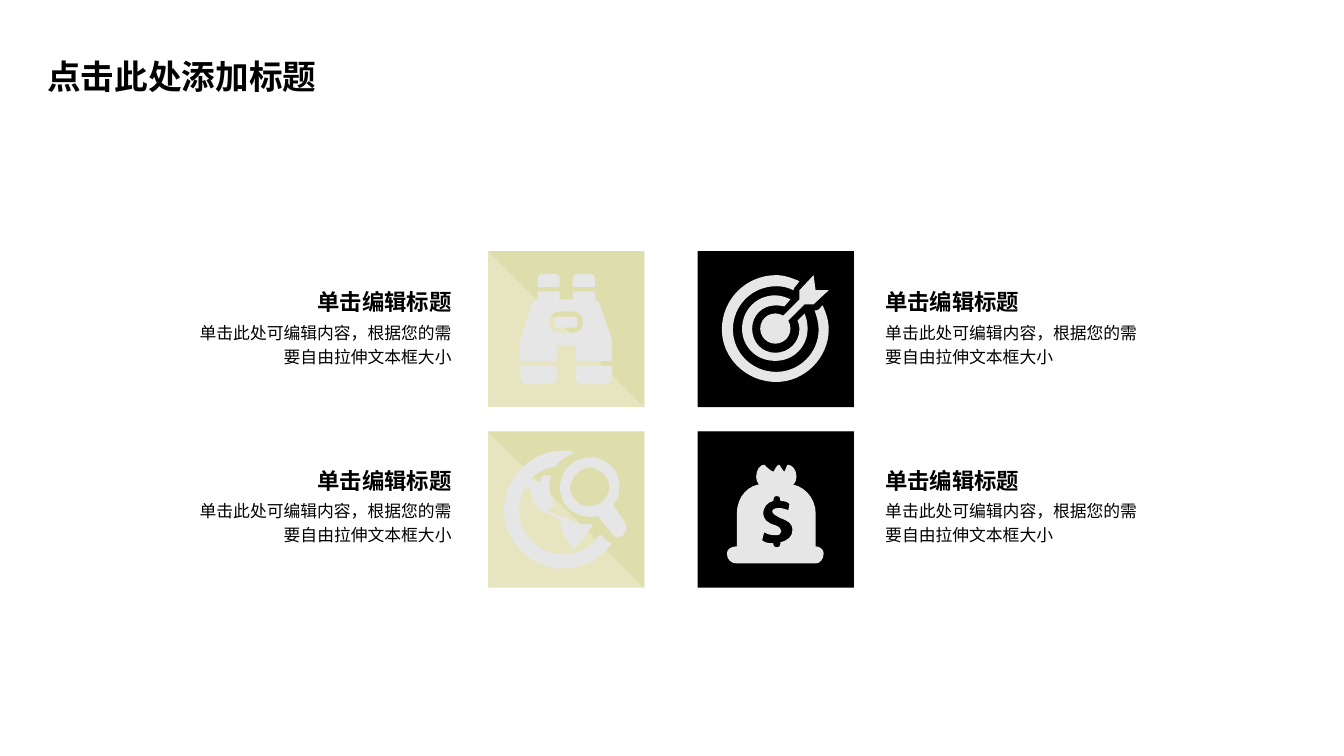
from lxml import etree
from pptx import Presentation
from pptx import util as u
from pptx.dml.color import RGBColor
from pptx.enum import shapes, text
from pptx.oxml.ns import qn

PX = 9144  # EMU in one px, 100 px to the inch
BLACK, ICON, CREAM, OLIVE = "000000", "E7E6E6", "E6E5C0", "C8C674"
LEFT_TILE, RIGHT_TILE, TILE = 484, 692, 155
ROWS = (249, 428)
ALIGN, SHAPE = text.PP_ALIGN, shapes.MSO_SHAPE

TARGET = (
    "M 809 288 L 807 273 793 288 793 297 766 324 771 329 798 302 807 302 822 288",
    "M 808 308 C 810 314 812 320 812 327 812 350 793 369 770 369 746 369 727 350 727 327"
    " 727 303 746 284 770 284 776 284 781 285 787 288 787 286 789 284 790 283 L 793 279"
    " C 786 276 778 273 770 273 740 273 716 297 716 327 716 355 740 379 770 379"
    " 798 379 822 355 822 327 822 317 819 310 816 303 L 812 307 C 811 308 810 308 808 308",
    "M 793 326 C 793 340 782 350 769 350 756 350 746 340 746 326 746 313 756 303 769 303"
    " 772 303 775 303 778 304 L 784 297 C 780 295 774 293 769 293 750 293 736 308 736 326"
    " 736 344 750 358 769 358 787 358 801 344 801 326 801 321 800 316 798 311 L 791 318"
    " C 792 321 793 323 793 326",
)
BINOCULAR_BODY = (
    "M 595 302 C 595 300 592 298 590 297 L 590 289 568 289 568 297 555 297 555 289 533 289"
    " 533 297 C 531 298 527 300 527 302 L 516 337 516 358 552 358 552 343 571 343 571 358"
    " 607 358 607 337"
    " M 578 321 C 578 326 574 330 569 330 L 554 330 C 549 330 545 326 545 321 L 545 317"
    " C 545 313 549 309 554 309 L 569 309 C 574 309 578 313 578 317"
)
MONEY_BAG = (
    "M 790 473 C 790 479 786 483 781 483 L 758 483 C 754 483 750 479 750 473"
    " 750 466 754 461 758 461 758 461 765 468 767 468 769 466 770 461 773 461"
    " 774 462 777 468 778 468 779 466 781 461 781 461 786 461 790 466 790 473",
    "M 817 549 C 817 555 813 559 809 559 L 731 559 C 725 559 721 555 721 549"
    " 721 545 725 542 731 542 L 731 509 C 731 493 742 480 758 480 L 781 480"
    " C 796 480 809 493 809 509 L 809 542 C 813 542 817 545 817 549"
    " M 786 526 C 786 519 782 517 774 514 769 511 766 510 766 507 766 506 767 504 773 504"
    " 777 504 781 506 782 506 L 783 500 C 782 498 778 497 774 497 L 774 496"
    " C 774 493 773 492 770 492 769 492 767 493 767 496 L 767 497"
    " C 761 498 757 504 757 509 757 515 761 519 769 521 773 523 775 524 775 527"
    " 775 530 773 531 769 531 765 531 761 530 758 528 L 756 536"
    " C 758 538 762 539 767 539 L 767 540 C 767 542 769 543 770 543 773 543 774 542 774 540"
    " L 774 538 C 782 536 786 532 786 526",
)
GLOBE = (
    "M 618 531 C 615 533 612 533 611 533 608 531 607 530 606 528 L 593 512"
    " C 589 513 585 513 579 512 563 509 553 494 556 478 559 461 574 452 590 454"
    " 607 457 617 472 614 489 614 493 611 498 608 501 L 619 517 C 623 522 622 527 618 531"
    " M 581 502 C 592 504 601 497 604 487 606 476 599 467 588 464 578 463 569 469 566 480"
    " 564 490 571 500 581 502",
    "M 598 532 L 595 530 C 588 542 574 550 559 550 534 550 515 530 515 506"
    " 515 497 518 489 522 482 L 523 482 C 529 484 525 502 536 504 536 505 534 504 534 505"
    " 539 508 551 513 556 516 554 521 566 546 570 545 570 543 584 527 588 521"
    " 587 521 587 520 585 520 583 520 580 520 576 520 570 519 565 516 561 513"
    " 552 512 545 509 543 504 544 504 548 502 551 502 547 495 544 487 545 478"
    " 545 475 547 472 547 471 L 545 472 544 471 543 472 541 471"
    " C 534 475 537 475 536 478 533 478 529 476 526 476 532 469 541 464 551 463"
    " 556 456 562 452 570 449 566 447 562 447 559 447 526 447 500 474 500 506"
    " 500 538 526 564 559 564 578 564 596 554 607 539 603 538 599 535 598 532",
)


def rgb(color):
    return RGBColor.from_string(color)


def box(left, top, width, height):
    return [value * PX for value in (left, top, width, height)]


def paint(shape, color, alpha=None):
    """Give a flat fill, with an optional opacity in percent."""
    shape.shadow.inherit = False
    shape.line.fill.background()
    shape.fill.solid()
    shape.fill.fore_color.rgb = rgb(color)
    if alpha is not None:
        fill_color = shape.fill._xPr.find(qn("a:solidFill"))[0]
        etree.SubElement(fill_color, qn("a:alpha"), val=str(alpha * 1000))


def add_preset(slide, kind, left, top, width, height, color, rotation=0):
    shape = slide.shapes.add_shape(kind, *box(left, top, width, height))
    shape.rotation = rotation
    paint(shape, color)
    return shape


def contours(outline):
    """Split M, L and C commands in px into lists of (command, point)."""
    result, command = [], None
    tokens = iter(outline.split())
    for token in tokens:
        if token.isalpha():
            command = token
            if command == "M":
                result.append([])
        else:
            result[-1].append((command, (int(token), int(next(tokens)))))
    return result


def bend(shape, commands):
    """Join each three line segments marked C into one Bezier curve."""
    segments = list(shape._element.iter(qn("a:lnTo")))
    curved = [segment for segment, command in zip(segments, commands) if command == "C"]
    for first, second, end in zip(*[iter(curved)] * 3):
        curve = etree.Element(qn("a:cubicBezTo"))
        first.addprevious(curve)
        for segment in (first, second, end):
            curve.append(segment[0])
            segment.getparent().remove(segment)


def add_outline(slide, outline, color, alpha=None):
    builder, commands = None, []
    for contour in contours(outline):
        start, *points = [point for _, point in contour]
        if builder is None:
            builder = slide.shapes.build_freeform(*start, scale=PX)
        else:
            builder.move_to(*start)
        builder.add_line_segments(points, close=True)
        # Closing adds a line back to the start only if the last point differs
        commands += [command for command, _ in contour[1:]]
        if points[-1] != start:
            commands.append("L")
    shape = builder.convert_to_shape()
    drawn = len(list(shape._element.iter(qn("a:lnTo"))))
    if drawn != len(commands):
        commands = [command for contour in contours(outline) for command, _ in contour[1:]]
    bend(shape, commands)
    paint(shape, color, alpha)


def add_tile(slide, left, top, color, shade):
    add_preset(slide, SHAPE.RECTANGLE, left, top, TILE, TILE, color)
    right, bottom = left + TILE, top + TILE
    add_outline(slide, f"M {right} {bottom} L {left} {top} {right} {top}", shade, 25)


def add_binoculars(slide):
    for lens in (516, 571):
        add_preset(slide, SHAPE.ROUND_2_SAME_RECTANGLE, lens, 363, 36, 18, ICON, 180).adjustments[0] = 0.33
    for eyepiece in (533, 568):
        add_preset(slide, SHAPE.ROUND_2_SAME_RECTANGLE, eyepiece, 272, 22, 13, ICON).adjustments[0] = 0.3
    add_preset(slide, SHAPE.ROUNDED_RECTANGLE, 550, 314, 23, 11, ICON).adjustments[0] = 0.35
    add_outline(slide, BINOCULAR_BODY, ICON)


def style(paragraph, size, font_name, bold, align):
    paragraph.alignment = align
    font = paragraph.font
    font.size, font.name, font.bold = u.Pt(size), font_name, bold
    font.color.rgb = rgb(BLACK)


def add_text(slide, words, left, top, width, height, size, bold, align):
    frame = slide.shapes.add_textbox(*box(left, top, width, height)).text_frame
    frame.word_wrap = True
    frame.margin_left = frame.margin_right = frame.margin_top = frame.margin_bottom = 0
    paragraph = frame.paragraphs[0]
    paragraph.text = words
    paragraph.line_spacing = 1.2
    style(paragraph, size, "Arial", bold, align)


def add_caption(slide, edge, top, align):
    """Heading and text that start, or end if right-aligned, at the edge."""
    for words, down, width, height, size, bold in (
        ("单击编辑标题", 0, 142, 32, 16, True),
        ("单击此处可编辑内容，根据您的需要自由拉伸文本框大小", 35, 255, 48, 12, False),
    ):
        left = edge - width if align == ALIGN.RIGHT else edge
        add_text(slide, words, left, top + down, width, height, size, bold, align)


def add_title(slide, words):
    title = slide.shapes.title
    title.left, title.top, title.width, title.height = box(37, 50, 301, 50)
    title.text_frame.text = words
    title.text_frame.auto_size = text.MSO_AUTO_SIZE.NONE
    title.text_frame.vertical_anchor = text.MSO_ANCHOR.MIDDLE
    style(title.text_frame.paragraphs[0], 24, "Noto Sans CJK SC", True, ALIGN.LEFT)


def main():
    presentation = Presentation()
    presentation.slide_width, presentation.slide_height = 1333 * PX, 750 * PX
    slide = presentation.slides.add_slide(presentation.slide_layouts[5])
    add_title(slide, "点击此处添加标题")
    for top in ROWS:
        add_tile(slide, LEFT_TILE, top, CREAM, OLIVE)
        add_tile(slide, RIGHT_TILE, top, BLACK, BLACK)
    add_binoculars(slide)
    add_preset(slide, SHAPE.OVAL, 754, 311, 30, 30, ICON)
    add_preset(slide, SHAPE.ROUNDED_RECTANGLE, 753, 483, 34, 7, ICON)
    for outline in TARGET + MONEY_BAG + GLOBE:
        add_outline(slide, outline, ICON)
    for top in (281, 458):
        add_caption(slide, 878, top, ALIGN.LEFT)
        add_caption(slide, 448, top, ALIGN.RIGHT)
    presentation.save("out.pptx")


if __name__ == "__main__":
    main()
